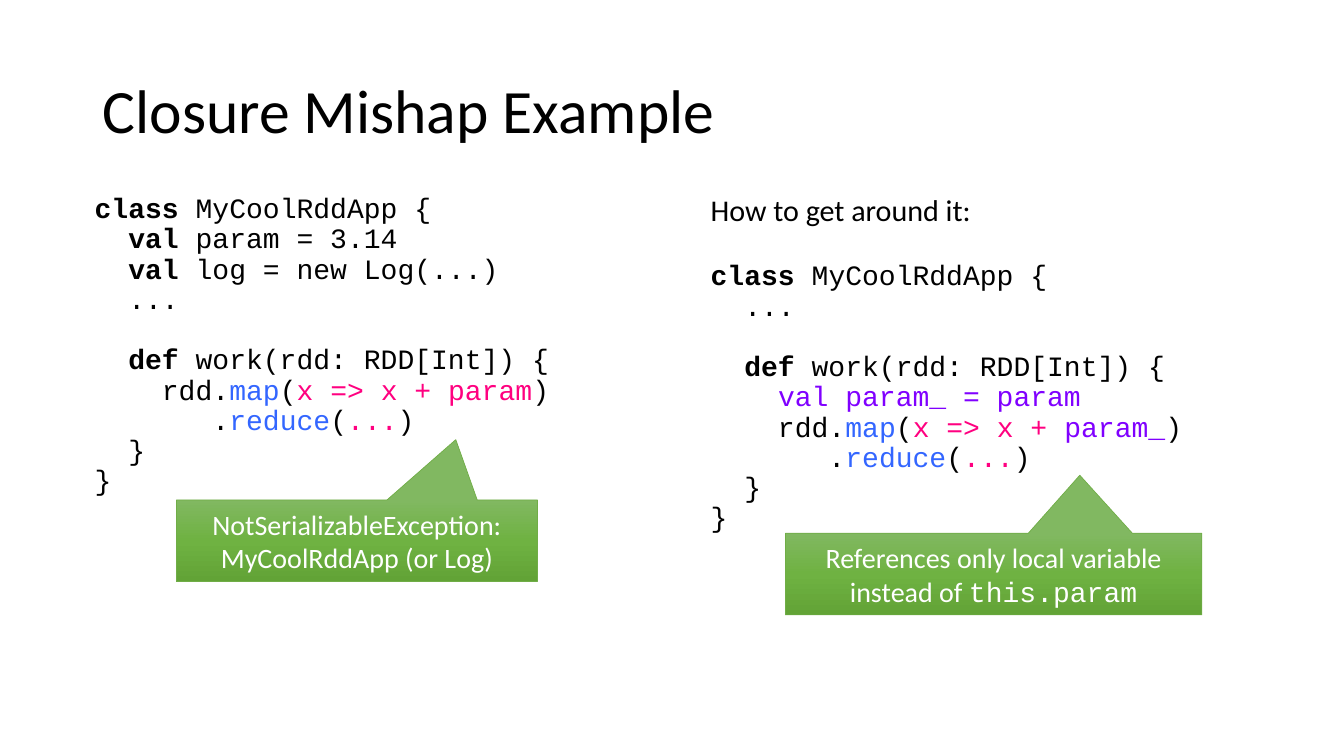
from copy import deepcopy

from pptx import Presentation
from pptx import util as u
from pptx.dml.color import RGBColor
from pptx.enum import shapes, text
from pptx.oxml.ns import qn

BLACK, WHITE, BLUE, PINK, PURPLE = "000000", "FFFFFF", "3366FF", "FF0080", "8000FF"
SANS, MONO = "Calibri", "Courier New"


def colour(value):
    return RGBColor.from_string(value)


def write(para, lines, font, size, default=BLACK):
    """Write lines of (text, style) spans; a style is a colour, "bold", or None."""
    for number, line in enumerate(lines):
        if number:
            para.add_line_break()
            # A line break takes the height of the span before it
            para._p[-1].append(deepcopy(span._r.rPr))
        for words, style in line:
            span = para.add_run()
            span.text = words
            span.font.name = font
            span.font.size = u.Pt(size)
            span.font.bold = style == "bold"
            span.font.color.rgb = colour(default if style in (None, "bold") else style)


deck = Presentation()
deck.slide_width, deck.slide_height = u.Inches(13.33), u.Inches(7.5)
page = deck.slides.add_slide(deck.slide_layouts[6])

# Code shared by both columns
class_line = [("class ", "bold"), ("MyCoolRddApp {", None)]
work_line = [("  ", None), ("def", "bold"), (" work(rdd: RDD[Int]) {", None)]
map_start = [("    rdd.", None), ("map", BLUE), ("(", None)]
dots, blank = [("  ...", None)], []
ending = [
    [("       .", None), ("reduce", BLUE), ("(", None), ("...", PINK), (")", None)],
    [("  }", None)],
    [("}", None)],
]

mishap = [
    class_line,
    [("  ", None), ("val ", "bold"), ("param = 3.14", None)],
    [("  ", None), ("val", "bold"), (" log = new Log(...)", None)],
    dots, blank, work_line,
    map_start + [("x => x + param", PINK), (")", None)],
] + ending

workaround = [
    class_line, dots, blank, work_line,
    [("    ", None), ("val param_ = param", PURPLE)],
    map_start + [("x => x + ", PINK), ("param_", PURPLE), (")", None)],
] + ending

# Title and two columns: place, anchor, left margin, paragraphs
heading = [([[("Closure Mishap Example", None)]], SANS, 44, 0)]
left_column = [(mishap, MONO, 20, 10)]
right_column = [
    ([[("How to get around it:", None)]], SANS, 21.5, 10),
    (workaround, MONO, 20, 24),
]
for place, anchor, margin, paragraphs in (
    ((0.92, 0.4, 11.5, 1.45), text.MSO_ANCHOR.MIDDLE, 0, heading),
    ((0.67, 1.88, 5.89, 4.95), text.MSO_ANCHOR.TOP, 0.17, left_column),
    ((6.78, 1.89, 5.89, 4.95), text.MSO_ANCHOR.TOP, 0.17, right_column),
):
    box = page.shapes.add_textbox(*map(u.Inches, place))
    frame = box.text_frame
    frame.word_wrap = True
    frame.vertical_anchor = anchor
    for number, (lines, font, size, before) in enumerate(paragraphs):
        para = frame.add_paragraph() if number else frame.paragraphs[0]
        para.line_spacing = 0.9
        para.space_before = u.Pt(before)
        para._p.get_or_add_pPr().set("marL", str(u.Inches(margin)))
        write(para, lines, font, size)

# Green callouts: place, tip of the pointer, text parts by font
error_note = [
    ([[("NotSerializableException:", None)], [("MyCoolRddApp (or Log)", None)]], SANS),
]
local_note = [
    ([[("References only local variable instead of ", None)]], SANS),
    ([[("this.param", None)]], MONO),
]
for place, tip, parts in (
    ((1.75, 4.96, 3.58, 0.81), (0.274, -1.239), error_note),
    ((7.79, 5.29, 4.13, 0.81), (0.207, -1.211), local_note),
):
    callout = page.shapes.add_shape(
        shapes.MSO_SHAPE.RECTANGULAR_CALLOUT, *map(u.Inches, place))
    callout.shadow.inherit = False
    callout.adjustments[0], callout.adjustments[1] = tip
    callout.line.color.rgb = colour("70AD47")
    callout.line.width = u.Pt(0.5)

    # Three-stop gradient from top to bottom
    callout.fill.gradient()
    callout.fill.gradient_angle = 270
    stop_list = callout._element.spPr.find(".//" + qn("a:gsLst"))
    stop_list.append(deepcopy(stop_list[0]))
    greens = ((0, "81B861"), (0.5, "6FB242"), (1, "62A336"))
    for stop, (position, green) in zip(callout.fill.gradient_stops, greens):
        stop.position = position
        stop.color.rgb = colour(green)

    frame = callout.text_frame
    frame.word_wrap = True
    frame.vertical_anchor = text.MSO_ANCHOR.MIDDLE
    frame.margin_left = frame.margin_right = u.Inches(0.12)
    frame.margin_top = frame.margin_bottom = u.Inches(0.06)
    para = frame.paragraphs[0]
    para.alignment = text.PP_ALIGN.CENTER
    for lines, font in parts:
        write(para, lines, font, 20, WHITE)

deck.save("out.pptx")
